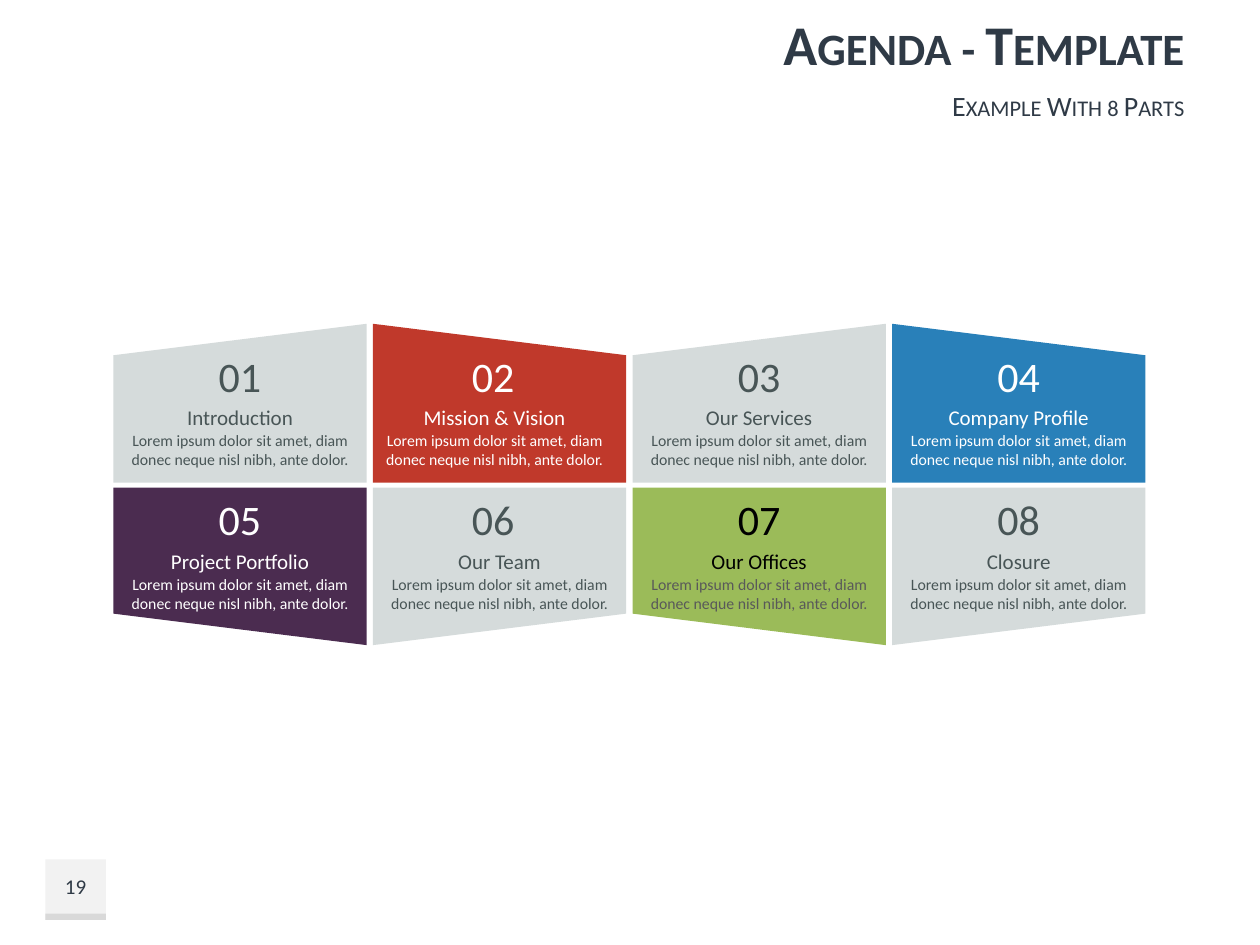
from pptx import Presentation
from pptx.dml.color import RGBColor
from pptx.enum.shapes import MSO_SHAPE
from pptx.enum.text import MSO_ANCHOR, MSO_AUTO_SIZE, PP_ALIGN
from pptx.util import Inches, Pt

NAVY = RGBColor(0x2F, 0x3A, 0x46)
SLATE = RGBColor(0x48, 0x55, 0x56)
SILVER = RGBColor(0xD5, 0xDB, 0xDB)
RED = RGBColor(0xC0, 0x39, 0x2B)
BLUE = RGBColor(0x29, 0x80, 0xB9)
PURPLE = RGBColor(0x4B, 0x2C, 0x50)
GREEN = RGBColor(0x9B, 0xBB, 0x59)
PALE_GRAY = RGBColor(0xF2, 0xF2, 0xF2)
MID_GRAY = RGBColor(0xD9, 0xD9, 0xD9)
DARK_GRAY = RGBColor(0x59, 0x59, 0x59)
WHITE = RGBColor(0xFF, 0xFF, 0xFF)
BLACK = RGBColor(0, 0, 0)

DESCRIPTION = "Lorem ipsum dolor sit amet, diam donec neque nisl nibh, ante dolor."
# title, panel fill, heading colour, description colour, shift of the words
PARTS = [
    ("Introduction", SILVER, SLATE, SLATE, 0),
    ("Mission & Vision", RED, WHITE, WHITE, -0.04),
    ("Our Services", SILVER, SLATE, SLATE, 0),
    ("Company Profile", BLUE, WHITE, WHITE, 0),
    ("Project Portfolio", PURPLE, WHITE, WHITE, 0),
    ("Our Team", SILVER, SLATE, SLATE, 0),
    ("Our Offices", GREEN, BLACK, DARK_GRAY, 0),
    ("Closure", SILVER, SLATE, SLATE, 0),
]
COLUMNS = 4
LEFT, PITCH, PANEL_WIDTH = 0.9, 2.06, 2.01
# outer tip, outer shoulder and inner edge of each row's panels, then text top
ROWS = [(2.57, 2.82, 3.83, 2.74), (5.12, 4.87, 3.87, 3.88)]


def paint(shape, color):
    shape.fill.solid()
    shape.fill.fore_color.rgb = color
    shape.line.fill.background()
    shape.shadow.inherit = False


def add_centered_text(text, center, top, width, height, size, color, wrap=False):
    box = slide.shapes.add_textbox(
        Inches(center - width / 2), Inches(top), Inches(width), Inches(height))
    frame = box.text_frame
    frame.word_wrap = wrap
    frame.margin_left = frame.margin_right = Inches(0.04)
    frame.margin_top = frame.margin_bottom = Inches(0.04)
    frame.vertical_anchor = MSO_ANCHOR.TOP
    paragraph = frame.paragraphs[0]
    paragraph.text = text
    paragraph.alignment = PP_ALIGN.CENTER
    paragraph.font.name = "Calibri"
    paragraph.font.size = Pt(size)
    paragraph.font.color.rgb = color
    return box


presentation = Presentation()
presentation.slide_width = Inches(10)
presentation.slide_height = Inches(7.5)
slide = presentation.slides.add_slide(presentation.slide_layouts[0])

# Title and subtitle
headings = [
    (slide.shapes.title, "Agenda - Template", 0, 0.68, 32, True),
    (slide.placeholders[1], "Example With 8 Parts", 0.68, 0.31, 16, False),
]
for placeholder, text, top, height, size, bold in headings:
    placeholder.left, placeholder.top = Inches(3.19), Inches(top)
    placeholder.width, placeholder.height = Inches(6.31), Inches(height)
    frame = placeholder.text_frame
    frame.auto_size = MSO_AUTO_SIZE.NONE
    frame.vertical_anchor = MSO_ANCHOR.MIDDLE
    paragraph = frame.paragraphs[0]
    paragraph.text = text
    paragraph.alignment = PP_ALIGN.RIGHT
    paragraph.space_before = Pt(0)
    paragraph.font.name = "Calibri"
    paragraph.font.size = Pt(size)
    paragraph.font.bold = bold
    paragraph.font.color.rgb = NAVY
    paragraph.runs[0].font._element.set("cap", "small")

# Page number
for top, height, color in [(6.82, 0.48, PALE_GRAY), (7.25, 0.05, MID_GRAY)]:
    badge = slide.shapes.add_shape(
        MSO_SHAPE.RECTANGLE, Inches(0.36), Inches(top), Inches(0.48), Inches(height))
    paint(badge, color)
page_number = add_centered_text("19", 0.6, 6.82, 0.48, 0.43, 12, NAVY)
page_number.text_frame.vertical_anchor = MSO_ANCHOR.MIDDLE

# Agenda panels, folded like a screen
for index, (title, fill, heading_color, description_color, shift) in enumerate(PARTS):
    row, column = divmod(index, COLUMNS)
    tip, shoulder, inner, text_top = ROWS[row]
    left = LEFT + column * PITCH
    right = left + PANEL_WIDTH
    left_y, right_y = (shoulder, tip) if column % 2 == 0 else (tip, shoulder)

    builder = slide.shapes.build_freeform(Inches(left), Inches(left_y))
    corners = [(right, right_y), (right, inner), (left, inner)]
    builder.add_line_segments([(Inches(x), Inches(y)) for x, y in corners])
    paint(builder.convert_to_shape(), fill)

    center = left + PANEL_WIDTH / 2
    number_center = center - 0.05 if column == 1 else center
    add_centered_text(title, center + shift, text_top + 0.43, 1.4, 0.28, 12, heading_color)
    add_centered_text(DESCRIPTION, center + shift, text_top + 0.64, 1.94, 0.38, 9,
                      description_color, wrap=True)
    add_centered_text(f"{index + 1:02}", number_center, text_top, 0.42, 0.48, 24, heading_color)

presentation.save("out.pptx")
